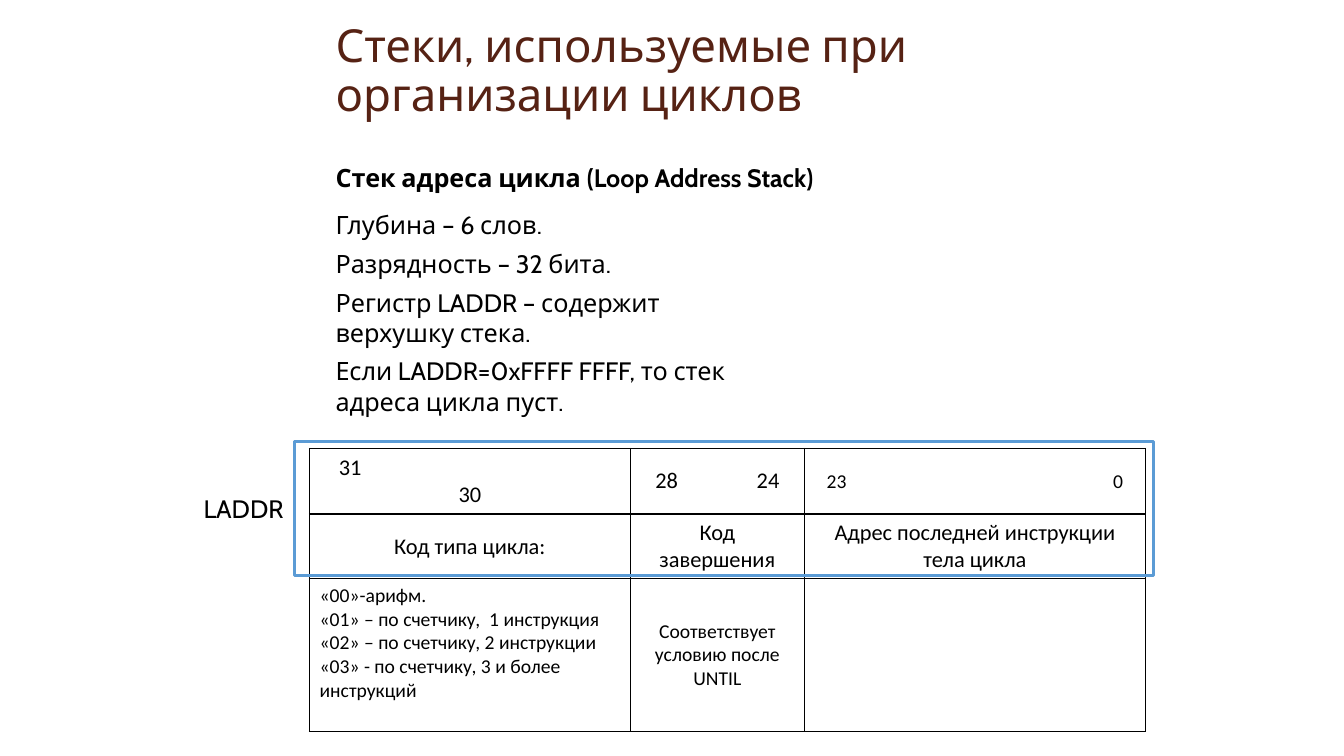
from lxml import etree
from pptx import Presentation
from pptx.dml.color import RGBColor
from pptx.enum.shapes import MSO_SHAPE as Shape
from pptx.enum.text import MSO_ANCHOR as Anchor, PP_ALIGN as Align
from pptx.oxml.ns import qn
from pptx.util import Inches, Pt


def color(hex_code):
    return RGBColor.from_string(hex_code)


class StackSlide:
    HEADING, TABLE_FONT = "Cabin", "Calibri"
    BLACK, BROWN, BLUE = "000000", "562214", "5B9BD5"

    def __init__(self, prs):
        self.slide = prs.slides.add_slide(prs.slide_layouts[6])

    def set_text(self, frame, text, size, font, ink=BLACK, bold=False,
                 align=Align.LEFT, before=0, spacing=1.0):
        frame.word_wrap = True
        frame.text = text
        for paragraph in frame.paragraphs:
            paragraph.alignment = align
            paragraph.space_before = Pt(before)
            paragraph.line_spacing = spacing
            for run in paragraph.runs:
                run.font.name = font
                run.font.size = Pt(size)
                run.font.bold = bold
                run.font.color.rgb = color(ink)

    def text(self, left, top, width, height, text, size=18, anchor=Anchor.TOP, **style):
        box = self.slide.shapes.add_textbox(
            Inches(left), Inches(top), Inches(width), Inches(height))
        box.text_frame.vertical_anchor = anchor
        self.set_text(box.text_frame, text, size, self.HEADING, **style)

    def frame(self, left, top, width, height):
        outline = self.slide.shapes.add_shape(
            Shape.RECTANGLE, Inches(left), Inches(top), Inches(width), Inches(height))
        outline.shadow.inherit = False
        outline.fill.background()
        outline.line.color.rgb = color(self.BLUE)
        outline.line.width = Pt(2)

    def table(self, left, top, widths, heights):
        grid = self.slide.shapes.add_table(
            len(heights), len(widths), Inches(left), Inches(top),
            Inches(sum(widths)), Inches(sum(heights))).table
        grid.first_row = grid.horz_banding = False
        for column, width in zip(grid.columns, widths):
            column.width = Inches(width)
        for row, height in zip(grid.rows, heights):
            row.height = Inches(height)
        for cell in grid.iter_cells():
            self.borders(cell)
            cell.fill.background()
            cell.vertical_anchor = Anchor.MIDDLE
        return grid

    def borders(self, cell):
        properties = cell._tc.get_or_add_tcPr()
        for side in ("lnL", "lnR", "lnT", "lnB"):
            line = etree.SubElement(properties, qn(f"a:{side}"), w=str(Pt(1)))
            fill = etree.SubElement(line, qn("a:solidFill"))
            etree.SubElement(fill, qn("a:srgbClr"), val=self.BLACK)

    def cell(self, cell, text, size=16, align=Align.CENTER):
        self.set_text(cell.text_frame, text, size, self.TABLE_FONT, align=align)

    def bit_range(self, cell, high, low, size, inset, right_tab):
        """High bit on the left, low bit on a right tab stop."""
        cell.margin_left = Inches(inset)
        self.cell(cell, f"{high}\t{low}", size, Align.LEFT)
        properties = cell.text_frame.paragraphs[0]._p.get_or_add_pPr()
        tabs = etree.SubElement(properties, qn("a:tabLst"))
        etree.SubElement(tabs, qn("a:tab"), pos=str(Inches(right_tab)), algn="r")


def main():
    prs = Presentation()
    prs.slide_width, prs.slide_height = Inches(13.33), Inches(7.5)
    page = StackSlide(prs)

    # Title and description of the stack
    page.text(3.23, 0.16, 8.1, 1.09, "Стеки, используемые при организации циклов",
              size=32.5, anchor=Anchor.BOTTOM, ink=page.BROWN, spacing=0.9)
    page.text(3.23, 2.03, 4.53, 2.17, "\n".join([
        "Глубина – 6 слов.",
        "Разрядность – 32 бита.",
        "Регистр LADDR – содержит верхушку стека.",
        "Если LADDR=0xFFFF FFFF, то стек адреса цикла пуст.",
    ]), before=6)
    page.text(3.23, 1.56, 7.81, 0.4, "Стек адреса цикла (Loop Address Stack)", bold=True)

    # Register fields: bit numbers
    fields = page.table(3.07, 4.45, [3.18, 1.73, 3.38], [0.65, 0.64, 1.52])
    type_bits = fields.cell(0, 0)
    type_bits.margin_left = type_bits.margin_right = Inches(0.29)
    page.cell(type_bits, "31\n30")
    type_bits.text_frame.paragraphs[0].alignment = Align.LEFT
    page.bit_range(fields.cell(0, 1), 28, 24, 16, inset=0.25, right_tab=1.23)
    page.bit_range(fields.cell(0, 2), 23, 0, 14, inset=0.22, right_tab=2.94)

    # Register fields: names and values
    names = ["Код типа цикла:", "Код завершения", "Адрес последней инструкции тела цикла"]
    for column, name in enumerate(names):
        page.cell(fields.cell(1, column), name)
    loop_types = fields.cell(2, 0)
    loop_types.vertical_anchor = Anchor.TOP
    page.cell(loop_types, "\n".join([
        "«00»-арифм.",
        "«01» – по счетчику,  1 инструкция",
        "«02» – по счетчику, 2 инструкции",
        "«03» - по счетчику, 3 и более инструкций",
    ]), 14, Align.LEFT)
    page.cell(fields.cell(2, 1), "Соответствует условию после UNTIL", 14)

    # Register outline and its label
    page.frame(2.92, 4.38, 8.52, 1.33)
    page.text(1.82, 4.84, 1.09, 0.4, "LADDR", align=Align.RIGHT)

    prs.save("out.pptx")


if __name__ == "__main__":
    main()
